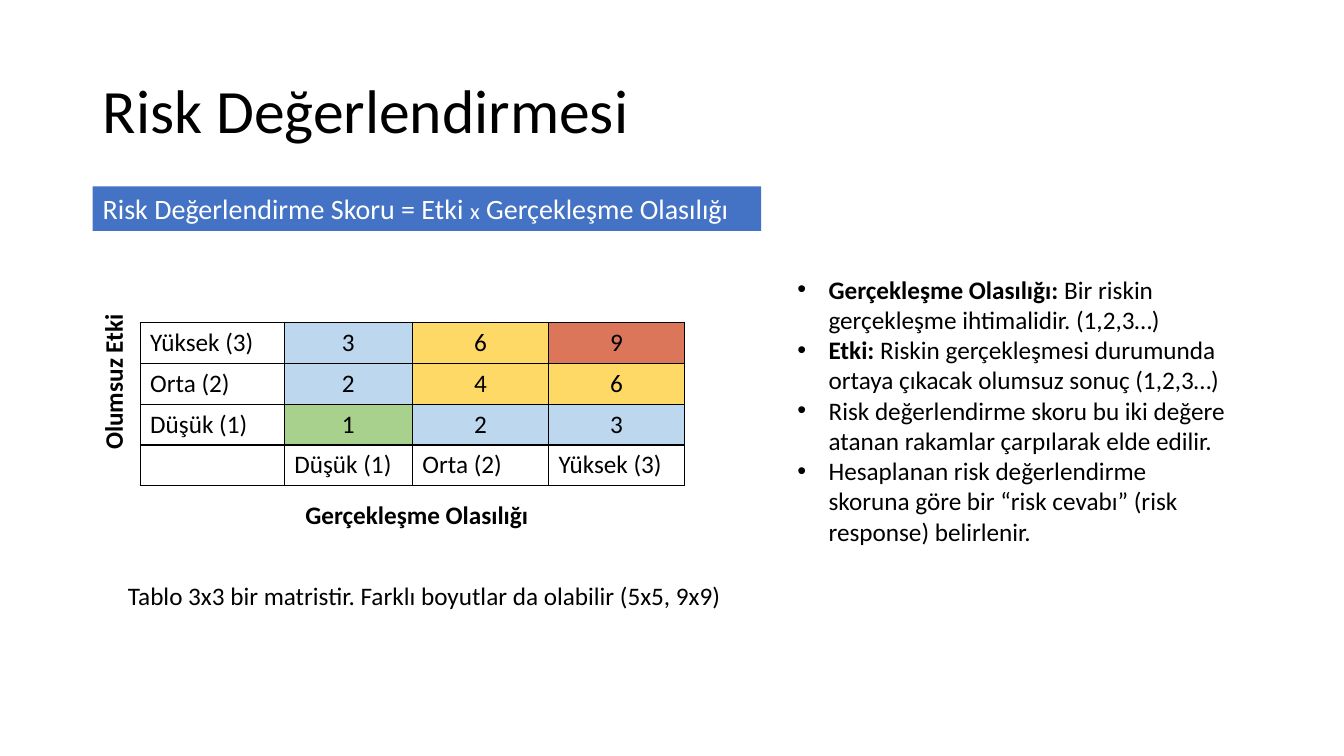
from lxml import etree
from pptx import Presentation
from pptx.dml.color import RGBColor
from pptx.enum import shapes, text
from pptx.oxml import ns
from pptx.util import Inches, Pt

FONT = "Calibri"
BLACK, WHITE, BLUE = "000000", "FFFFFF", "4472C4"
GREEN, PALE_BLUE, YELLOW, RED = "A9D18E", "BDD7EE", "FFD966", "DB765B"
SCORE_COLORS = {1: GREEN, 2: PALE_BLUE, 3: PALE_BLUE, 4: YELLOW, 6: YELLOW, 9: RED}
LEVELS = {1: "Düşük (1)", 2: "Orta (2)", 3: "Yüksek (3)"}
LIKELIHOOD = "Gerçekleşme Olasılığı"
DEFINITIONS = [
    [(f"{LIKELIHOOD}: ", {"bold": True}), "Bir riskin gerçekleşme ihtimalidir. (1,2,3…)"],
    [("Etki: ", {"bold": True}),
     "Riskin gerçekleşmesi durumunda ortaya çıkacak olumsuz sonuç (1,2,3…)"],
    ["Risk değerlendirme skoru bu iki değere atanan rakamlar çarpılarak elde edilir."],
    ["Hesaplanan risk değerlendirme skoruna göre bir “risk cevabı” (risk response) belirlenir."],
]


def rgb(value):
    """Turn a hex string into a colour."""
    return RGBColor.from_string(value)


def add_bullet(paragraph, indent=0.31):
    """Give a paragraph a hanging round bullet."""
    props = paragraph._p.get_or_add_pPr()
    props.set("marL", str(Inches(indent)))
    props.set("indent", str(-Inches(indent)))
    etree.SubElement(props, ns.qn("a:buFont"), typeface="Arial")
    etree.SubElement(props, ns.qn("a:buChar"), char="•")


def write(frame, content, size=18, color=BLACK, bold=False, align=text.PP_ALIGN.LEFT,
          bullets=False, spacing=None):
    """Write a string, or paragraphs of runs, each run a string or (string, overrides)."""
    paragraphs = [[content]] if isinstance(content, str) else content
    for index, runs in enumerate(paragraphs):
        paragraph = frame.add_paragraph() if index else frame.paragraphs[0]
        paragraph.alignment = align
        if spacing:
            paragraph.line_spacing = spacing
        if bullets:
            add_bullet(paragraph)
        for item in runs:
            words, changes = (item, {}) if isinstance(item, str) else item
            run = paragraph.add_run()
            run.text = words
            run.font.name = FONT
            run.font.size = Pt(changes.get("size", size))
            run.font.bold = changes.get("bold", bold)
            run.font.color.rgb = rgb(color)


def add_text(slide, box, content, anchor=text.MSO_ANCHOR.TOP, vertical=False, **style):
    """Place wrapped text in a box, optionally reading upwards."""
    frame = slide.shapes.add_textbox(*map(Inches, box)).text_frame
    frame.word_wrap = True
    frame.vertical_anchor = anchor
    if vertical:
        frame._txBody.bodyPr.set("vert", "vert270")
    write(frame, content, **style)


def add_formula(slide, box):
    """Draw the blue band holding the score formula."""
    band = slide.shapes.add_shape(shapes.MSO_SHAPE.RECTANGLE, *map(Inches, box))
    band.shadow.inherit = False
    band.fill.solid()
    band.fill.fore_color.rgb = rgb(BLUE)
    band.line.fill.background()
    band.text_frame.word_wrap = True
    band.text_frame.vertical_anchor = text.MSO_ANCHOR.TOP
    formula = ["Risk Değerlendirme Skoru = Etki ", ("x", {"size": 16}), f" {LIKELIHOOD}"]
    write(band.text_frame, [formula], size=20, color=WHITE)


def add_borders(cell):
    """Give a cell thin black borders on all four sides."""
    props = cell._tc.get_or_add_tcPr()
    for index, side in enumerate(("lnL", "lnR", "lnT", "lnB")):
        line = etree.Element(ns.qn(f"a:{side}"), w=str(Pt(1)))
        fill = etree.SubElement(line, ns.qn("a:solidFill"))
        etree.SubElement(fill, ns.qn("a:srgbClr"), val=BLACK)
        props.insert(index, line)


def add_cell(cell, words, fill=None, align=text.PP_ALIGN.LEFT):
    """Fill one matrix cell."""
    if fill:
        cell.fill.solid()
        cell.fill.fore_color.rgb = rgb(fill)
    else:
        cell.fill.background()
    add_borders(cell)
    write(cell.text_frame, words, align=align)


def add_matrix(slide, box):
    """Draw the impact by likelihood matrix with both axis labels around it."""
    left, top, width, height = box
    impacts = sorted(LEVELS, reverse=True)
    row_count = len(impacts) + 1
    matrix = slide.shapes.add_table(row_count, len(LEVELS) + 1, *map(Inches, box)).table
    matrix.first_row = matrix.horz_banding = False
    for column, column_width in zip(matrix.columns, (1.43, 1.27, 1.35, 1.35)):
        column.width = Inches(column_width)
    for row in matrix.rows:
        row.height = Inches(height / row_count)

    for row, impact in enumerate(impacts):
        add_cell(matrix.cell(row, 0), LEVELS[impact])
        for likelihood in LEVELS:
            score = impact * likelihood
            add_cell(matrix.cell(row, likelihood), str(score), SCORE_COLORS[score],
                     text.PP_ALIGN.CENTER)
    add_cell(matrix.cell(row_count - 1, 0), "")
    for likelihood, label in LEVELS.items():
        add_cell(matrix.cell(row_count - 1, likelihood), label)

    add_text(slide, (left + 1.54, top + height + 0.08, 3.28, 0.4), LIKELIHOOD, bold=True)
    add_text(slide, (left - 0.47, top - 0.26, 0.5, height), "Olumsuz Etki",
             bold=True, vertical=True)


def build_risk_slide(slide):
    """Lay out the risk assessment slide."""
    add_text(slide, (0.92, 0.4, 11.5, 1.45), "Risk Değerlendirmesi", size=44,
             anchor=text.MSO_ANCHOR.MIDDLE, spacing=0.9)
    add_formula(slide, (0.92, 1.85, 6.63, 0.44))
    add_matrix(slide, (1.39, 3.2, 5.4, 1.62))
    add_text(slide, (7.81, 2.67, 4.45, 3.13), DEFINITIONS, bullets=True)
    add_text(slide, (1.17, 5.71, 6.38, 0.4),
             "Tablo 3x3 bir matristir. Farklı boyutlar da olabilir (5x5, 9x9)")


deck = Presentation()
deck.slide_width, deck.slide_height = Inches(13.33), Inches(7.5)
build_risk_slide(deck.slides.add_slide(deck.slide_layouts[6]))
deck.save("out.pptx")
